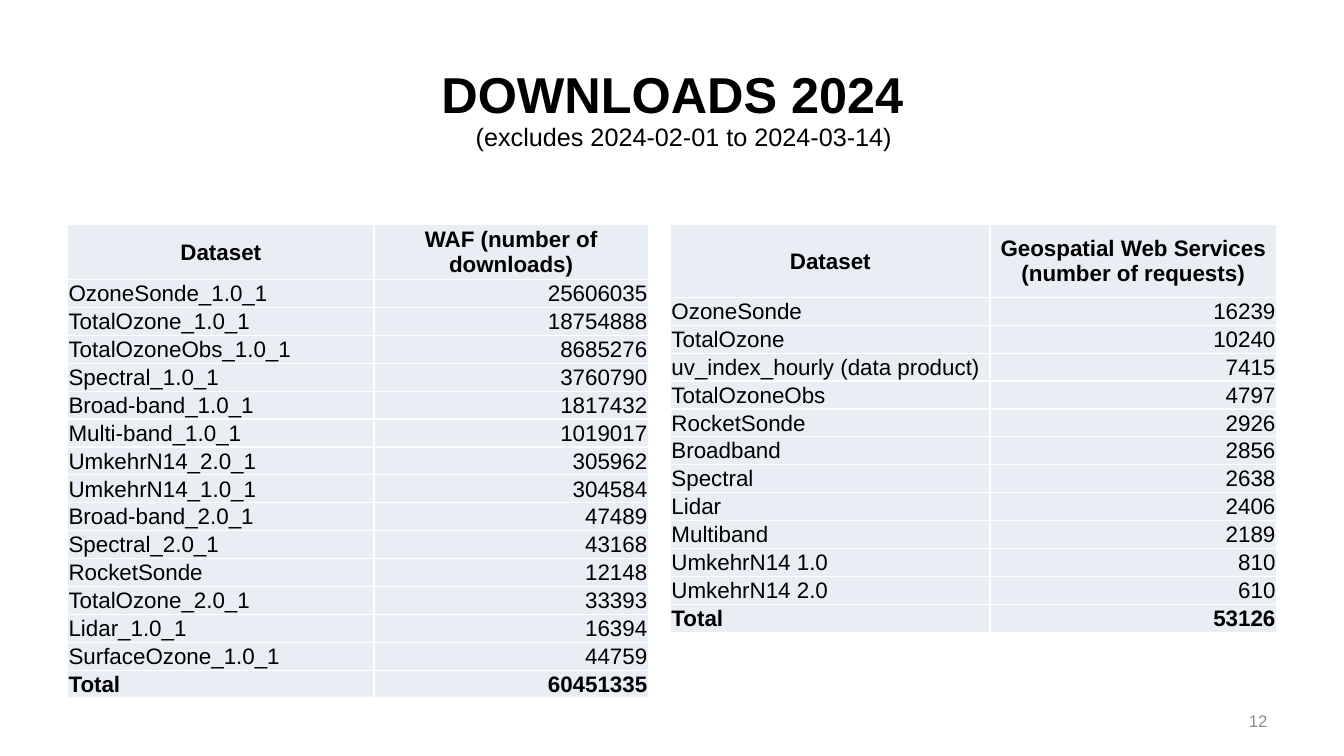
from pptx import Presentation
from pptx.dml.color import RGBColor
from pptx.enum.text import MSO_ANCHOR as Anchor, PP_ALIGN as Align
from pptx.oxml import parse_xml
from pptx.oxml.ns import nsdecls
from pptx.util import Inches, Pt

FILES = [
    ("OzoneSonde_1.0_1", 25606035),
    ("TotalOzone_1.0_1", 18754888),
    ("TotalOzoneObs_1.0_1", 8685276),
    ("Spectral_1.0_1", 3760790),
    ("Broad-band_1.0_1", 1817432),
    ("Multi-band_1.0_1", 1019017),
    ("UmkehrN14_2.0_1", 305962),
    ("UmkehrN14_1.0_1", 304584),
    ("Broad-band_2.0_1", 47489),
    ("Spectral_2.0_1", 43168),
    ("RocketSonde", 12148),
    ("TotalOzone_2.0_1", 33393),
    ("Lidar_1.0_1", 16394),
    ("SurfaceOzone_1.0_1", 44759),
    ("Total", 60451335),
]
CALLS = [
    ("OzoneSonde", 16239),
    ("TotalOzone", 10240),
    ("uv_index_hourly (data product)", 7415),
    ("TotalOzoneObs", 4797),
    ("RocketSonde", 2926),
    ("Broadband", 2856),
    ("Spectral", 2638),
    ("Lidar", 2406),
    ("Multiband", 2189),
    ("UmkehrN14 1.0", 810),
    ("UmkehrN14 2.0", 610),
    ("Total", 53126),
]


def color(code):
    """Turn a hex string into a colour."""
    return RGBColor.from_string(code)


def style(para, size, align, bold=False, code="000000"):
    """Set the font and alignment of a paragraph."""
    para.alignment = align
    font = para.font
    font.name, font.size, font.bold = "Arial", Pt(size), bold
    font.color.rgb = color(code)


def label(slide, box, text, size, align, anchor=Anchor.MIDDLE, **look):
    """Place one line of text in a box."""
    frame = slide.shapes.add_textbox(*map(Inches, box)).text_frame
    frame.word_wrap = True
    frame.vertical_anchor = anchor
    frame.text = text
    style(frame.paragraphs[0], size, align, **look)


def border(cell, code="FFFFFF"):
    """Draw thin lines on all sides of a cell."""
    props = cell._tc.get_or_add_tcPr()
    for side in ("lnL", "lnR", "lnT", "lnB"):
        props.append(parse_xml(
            f'<a:{side} {nsdecls("a")} w="{Pt(1)}"><a:solidFill>'
            f'<a:srgbClr val="{code}"/></a:solidFill></a:{side}>'))


def fill_cell(cell, text, align, bold):
    """Write and style one table cell."""
    border(cell)
    cell.fill.solid()
    cell.fill.fore_color.rgb = color("E9EDF4")
    cell.margin_left = cell.margin_right = cell.margin_top = Inches(0.01)
    cell.margin_bottom = 0
    cell.vertical_anchor = Anchor.MIDDLE
    cell.text = text
    style(cell.text_frame.paragraphs[0], 16, align, bold)


def counts(slide, left, top, widths, heights, title, data):
    """Place a table of counts, with head, body and total row heights."""
    head, body, total = heights
    tall = [head] + [body] * (len(data) - 1) + [total]
    box = (left, top, sum(widths), sum(tall))
    grid = slide.shapes.add_table(len(tall), 2, *map(Inches, box)).table
    for col, width in zip(grid.columns, widths):
        col.width = Inches(width)
    for row, height in zip(grid.rows, tall):
        row.height = Inches(height)
    for i, pair in enumerate([("Dataset", title)] + data):
        sides = (Align.LEFT, Align.RIGHT) if i else (Align.CENTER,) * 2
        for j, (value, side) in enumerate(zip(pair, sides)):
            fill_cell(grid.cell(i, j), str(value), side, i in (0, len(data)))


def heading(slide, left, top, width):
    """Place the title and the note below it."""
    label(slide, (left, top, width, 1.25), "DOWNLOADS 2024", 36,
          Align.CENTER, bold=True)
    label(slide, (left + 3.95, top + 0.85, 6.67, 0.4),
          "(excludes 2024-02-01 to 2024-03-14)", 18, Align.LEFT, Anchor.TOP)


def main():
    """Build and save the slide."""
    deck = Presentation()
    deck.slide_width, deck.slide_height = Inches(13.33), Inches(7.5)
    slide = deck.slides.add_slide(deck.slide_layouts[6])
    heading(slide, 0.67, 0.3, 12)
    counts(slide, 6.65, 2.23, (3.17, 2.84), (0.72, 0.25, 0.23),
           "Geospatial Web Services (number of requests)", CALLS)
    counts(slide, 0.67, 2.23, (3.04, 2.72), (0.29, 0.23, 0.27),
           "WAF (number of downloads)", FILES)
    label(slide, (9.56, 6.95, 3.11, 0.4), "12", 12, Align.RIGHT,
          code="8C8C8C")
    deck.save("out.pptx")


if __name__ == "__main__":
    main()
